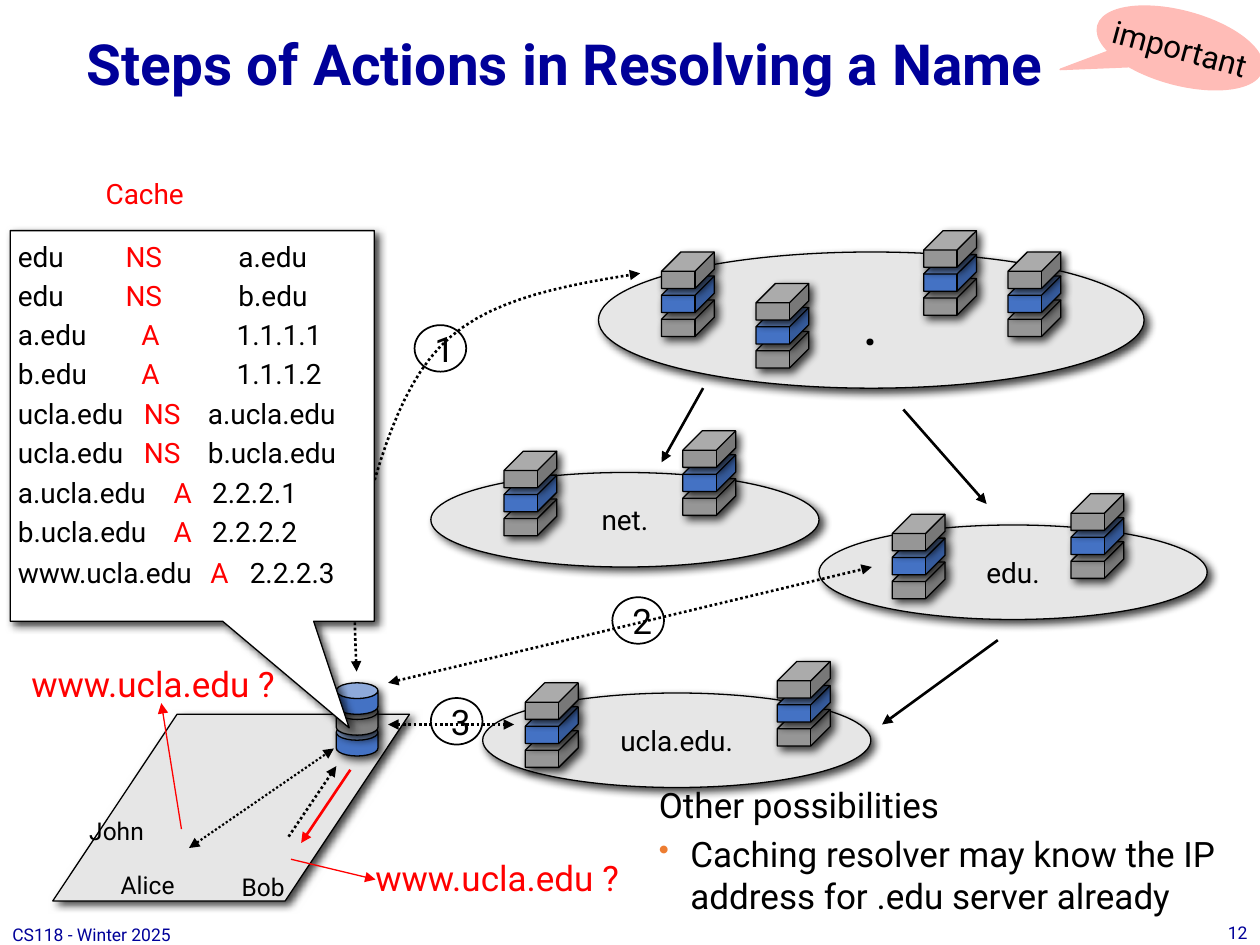
from lxml import etree
from pptx import Presentation
from pptx.dml.color import RGBColor
from pptx.enum.dml import MSO_LINE
from pptx.enum.shapes import MSO_CONNECTOR, MSO_SHAPE
from pptx.enum.text import MSO_ANCHOR, PP_ALIGN
from pptx.oxml.ns import qn
from pptx.util import Pt

LEFT, MID, RIGHT = PP_ALIGN.LEFT, PP_ALIGN.CENTER, PP_ALIGN.RIGHT
TOP, MIDDLE = MSO_ANCHOR.TOP, MSO_ANCHOR.MIDDLE
OVAL, CUBE, CAN = MSO_SHAPE.OVAL, MSO_SHAPE.CUBE, MSO_SHAPE.CAN
SLANT = MSO_SHAPE.PARALLELOGRAM
BOX_CALL = MSO_SHAPE.RECTANGULAR_CALLOUT
OVAL_CALL = MSO_SHAPE.OVAL_CALLOUT
STRAIGHT, DOTS = MSO_CONNECTOR.STRAIGHT, MSO_LINE.ROUND_DOT
FACE = "Roboto"
BLACK, WHITE, RED, NAVY = "000000", "FFFFFF", "FF0000", "000099"
PALE, GRAY, DARK, BLUE = "E6E6E6", "969696", "808080", "4472C4"
PINK, ORANGE = "FFBCB7", "ED7D31"

ZONES = [
    (".", 36, (342, 144, 311.8, 77.8),
     [(432, 162), (527.8, 131.8), (576, 144), (378, 144)]),
    ("net.", 16, (246.2, 270, 221.8, 54), [(288, 257.8), (390.2, 246.2)]),
    ("edu.", 16, (468, 300, 221.8, 54), [(509.8, 293.8), (612, 282.2)]),
    ("ucla.edu.", 16, (275.8, 396, 221.8, 54), [(300.2, 390.2), (444.2, 378)]),
]
RECORDS = [
    (133.2, [("edu", "NS", "a.edu", 61.5, 126),
             ("edu", "NS", "b.edu", 61.5, 126),
             ("a.edu", "A", "1.1.1.1", 70.5, 125),
             ("b.edu", "A", "1.1.1.2", 70.5, 125)]),
    (223.2, [("ucla.edu", "NS", "a.ucla.edu", 72, 108.5),
             ("ucla.edu", "NS", "b.ucla.edu", 72, 108.5),
             ("a.ucla.edu", "A", "2.2.2.1", 89, 111),
             ("b.ucla.edu", "A", "2.2.2.2", 89, 111)]),
    (313.9, [("www.ucla.edu", "A", "2.2.2.3", 110, 132.5)]),
]
CURVE = [(203.8, 383.8), (202.3, 352.1), (200.9, 319.7), (210.2, 288),
         (218.9, 256.3), (231.8, 213.8), (257.8, 192.2),
         (283.7, 169.9), (324.7, 162.7), (365.8, 156.2)]


def color(code):
    """Turn a hex string into a colour."""
    return RGBColor.from_string(code)


def style(run, size, ink, bold=False):
    """Format one run."""
    run.font.name, run.font.size, run.font.bold = FACE, Pt(size), bold
    run.font.color.rgb = color(ink)


def fill_text(frame, text, size, ink=BLACK, align=LEFT, anchor=MIDDLE,
              wrap=False, bold=False):
    """Set one line of text in a frame."""
    frame.text = text
    frame.word_wrap, frame.vertical_anchor = wrap, anchor
    frame.paragraphs[0].alignment = align
    style(frame.paragraphs[0].runs[0], size, ink, bold)


def label(slide, text, box, size, ink=BLACK, align=LEFT, anchor=TOP):
    """Add a text box with one line and return its frame."""
    frame = slide.shapes.add_textbox(*map(Pt, box)).text_frame
    fill_text(frame, text, size, ink, align, anchor)
    return frame


def shade(shape):
    """Give a shape a soft dark shadow."""
    effects = etree.SubElement(shape._element.spPr, qn("a:effectLst"))
    outer = etree.SubElement(effects, qn("a:outerShdw"), blurRad=str(Pt(5)),
                             dist=str(Pt(3)), dir="2700000", rotWithShape="0")
    ink = etree.SubElement(outer, qn("a:srgbClr"), val=BLACK)
    etree.SubElement(ink, qn("a:alpha"), val="75000")


def draw(shapes, kind, box, fill=None, adjust=(), line=BLACK, width=0.75,
         shadow=True):
    """Add a preset shape to a slide or group."""
    shape = shapes.add_shape(kind, *map(Pt, box))
    for index, value in enumerate(adjust):
        shape.adjustments[index] = value
    if fill:
        shape.fill.solid()
        shape.fill.fore_color.rgb = color(fill)
    else:
        shape.fill.background()
    shape.line.color.rgb, shape.line.width = color(line), Pt(width)
    if shadow:
        shade(shape)
    else:
        shape.shadow.inherit = False
    return shape


def tip(shape, ends, ink=BLACK, width=1.5, dots=False):
    """Style a line and add arrowheads at the named ends."""
    shape.line.color.rgb, shape.line.width = color(ink), Pt(width)
    if dots:
        shape.line.dash_style = DOTS
    for end in ends:
        etree.SubElement(shape.line._get_or_add_ln(), qn(f"a:{end}End"),
                         type="triangle")


def arrow(slide, start, stop, ends=("tail",), **look):
    """Add a straight arrow."""
    shape = slide.shapes.add_connector(STRAIGHT, *map(Pt, start + stop))
    tip(shape, ends, **look)
    etree.SubElement(shape._element.spPr, qn("a:effectLst"))


def stack(slide, kind, box, step, fills, adjust):
    """Group three parts piled from the bottom up."""
    left, top, width, height = box
    group = slide.shapes.add_group_shape()
    for index, fill in enumerate(fills):
        place = (left, top + step * (2 - index), width, height)
        draw(group.shapes, kind, place, fill, [adjust])


def zone(slide, name, size, box, spots):
    """Draw a name zone with its servers."""
    oval = draw(slide.shapes, OVAL, box, PALE)
    fill_text(oval.text_frame, name, size, align=MID)
    for spot in spots:
        stack(slide, CUBE, spot + (30.2, 20.9), 13.7, (GRAY, BLUE, GRAY), 0.53)


def curve(slide, points, steps=12):
    """Draw a dotted path through joined cubic curves."""
    dots = []
    for first in range(0, len(points) - 1, 3):
        a, b, c, d = points[first:first + 4]
        for step in range(1, steps + 1):
            t = step / steps
            u = 1 - t
            dots.append(tuple(
                Pt(u**3 * p + 3 * u * u * t * q + 3 * u * t * t * r + t**3 * s)
                for p, q, r, s in zip(a, b, c, d)))
    route = slide.shapes.build_freeform(*map(Pt, points[0]))
    route.add_line_segments(dots, close=False)
    shape = route.convert_to_shape()
    shape.fill.background()
    shape.shadow.inherit = False
    tip(shape, ("head", "tail"), dots=True)


def records(slide, box, rows):
    """List cache records in tabbed columns."""
    frame = slide.shapes.add_textbox(*map(Pt, box)).text_frame
    frame.word_wrap = True
    for index, (name, kind, value, *stops) in enumerate(rows):
        para = frame.add_paragraph() if index else frame.paragraphs[0]
        tabs = etree.SubElement(para._p.get_or_add_pPr(), qn("a:tabLst"))
        for stop in stops:
            etree.SubElement(tabs, qn("a:tab"), pos=str(Pt(stop)), algn="l")
        para.space_before = Pt(3.2 if index else 0)
        for text, ink in ((name + "\t", BLACK), (kind, RED),
                          ("\t" + value, BLACK)):
            run = para.add_run()
            run.text = text
            style(run, 16, ink)


def cache(slide, box):
    """Draw the cache callout and its records."""
    left, top, width, _ = box
    draw(slide.shapes, BOX_CALL, box, WHITE, (0.431, 0.773))
    head = label(slide, "Cache", (left + 47.5, top - 31, 66.2, 23.8), 16, RED)
    head.paragraphs[0].line_spacing = 0.8
    for row, rows in RECORDS:
        height = 7.2 + 22.5 * len(rows)
        records(slide, (left - 2.6, row, width + 2, height), rows)


def notes(slide, box):
    """Write the other possibilities with a bullet."""
    frame = label(slide, "Other possibilities", box, 20)
    frame.word_wrap = True
    para = frame.add_paragraph()
    para.text = ("Caching resolver may know the IP address "
                 "for .edu server already")
    props = para._p.get_or_add_pPr()
    props.set("marL", str(Pt(18)))
    props.set("indent", str(Pt(-18)))
    ink = etree.SubElement(props, qn("a:buClr"))
    etree.SubElement(ink, qn("a:srgbClr"), val=ORANGE)
    etree.SubElement(props, qn("a:buSzPct"), val="85000")
    etree.SubElement(props, qn("a:buChar"), char="•")
    para.space_before = Pt(4)
    style(para.runs[0], 20, BLACK)


def title(slide, box):
    """Place and format the title."""
    head = slide.shapes.title
    head.left, head.top, head.width, head.height = map(Pt, box)
    fill_text(head.text_frame, "Steps of Actions in Resolving a Name", 32.4,
              NAVY, MID, wrap=True, bold=True)


def flag(slide, box):
    """Add the tilted callout."""
    shape = draw(slide.shapes, OVAL_CALL, box, PINK, (-0.647, 0.71), PINK, 1,
                 shadow=False)
    shape.rotation = 15.1
    frame = shape.text_frame
    fill_text(frame, "important", 18, align=MID)
    frame.margin_left = frame.margin_right = 0
    frame.margin_top = frame.margin_bottom = 0


def main():
    """Build the slide."""
    deck = Presentation()
    deck.slide_width, deck.slide_height = Pt(720), Pt(540)
    slide = deck.slides.add_slide(deck.slide_layouts[5])
    both = ("head", "tail")
    title(slide, (0, 0, 645.8, 72))
    for item in ZONES:
        zone(slide, *item)
    for start, stop in (((401.8, 221.8), (378, 264.2)),
                        ((516.2, 234), (563.8, 288)),
                        ((570.2, 365.8), (504, 414))):
        arrow(slide, start, stop)
    draw(slide.shapes, SLANT, (30.2, 408.2, 203.8, 106.6), PALE, [0.666])
    stack(slide, CAN, (192.2, 390.2, 23.8, 18), 11.9, (BLUE, DARK, BLUE), 0.5)
    arrow(slide, (92.2, 401.8), (103.7, 473.8), ("head",), ink=RED, width=0.75)
    arrow(slide, (108, 484.6), (190.8, 427.7), both, width=1.25, dots=True)
    curve(slide, CURVE)
    cache(slide, (5.8, 131.8, 208.1, 223.2))
    arrow(slide, (221.8, 390.2), (498.2, 324), both, dots=True)
    arrow(slide, (221.8, 414), (293.8, 414), both, dots=True)
    arrow(slide, (214.6, 502.6), (166.3, 491), ("head",), ink=RED, width=0.75)
    arrow(slide, (164.9, 478.1), (192.2, 437.8), dots=True)
    for spot in ((10.8, 375.1), (207.4, 486)):
        label(slide, "www.ucla.edu ?", spot + (158.4, 31.7), 20, RED)
    for name, spot in (("John", (43.9, 463)), ("Alice", (61.9, 493.9)),
                       ("Bob", (131, 494.6))):
        label(slide, name, spot + (54, 24.5), 14)
    for number, spot in enumerate(((236.9, 185.8), (349.9, 341.3),
                                   (246.2, 398.9)), 1):
        badge = draw(slide.shapes, OVAL, spot + (29.5, 26.6), width=1,
                     shadow=False)
        fill_text(badge.text_frame, str(number), 20, wrap=True)
    arrow(slide, (200.2, 439.9), (172.1, 481.7), ink=RED)
    label(slide, "CS118 - Winter 2025", (0, 527.8, 106, 12.2), 10, NAVY,
          anchor=MIDDLE)
    label(slide, "12", (684, 525.6, 36, 14.4), 10, NAVY, RIGHT, MIDDLE)
    notes(slide, (369.4, 444.2, 344.9, 85))
    flag(slide, (625.7, 6.5, 97.2, 41.8))
    deck.save("out.pptx")


if __name__ == "__main__":
    main()
